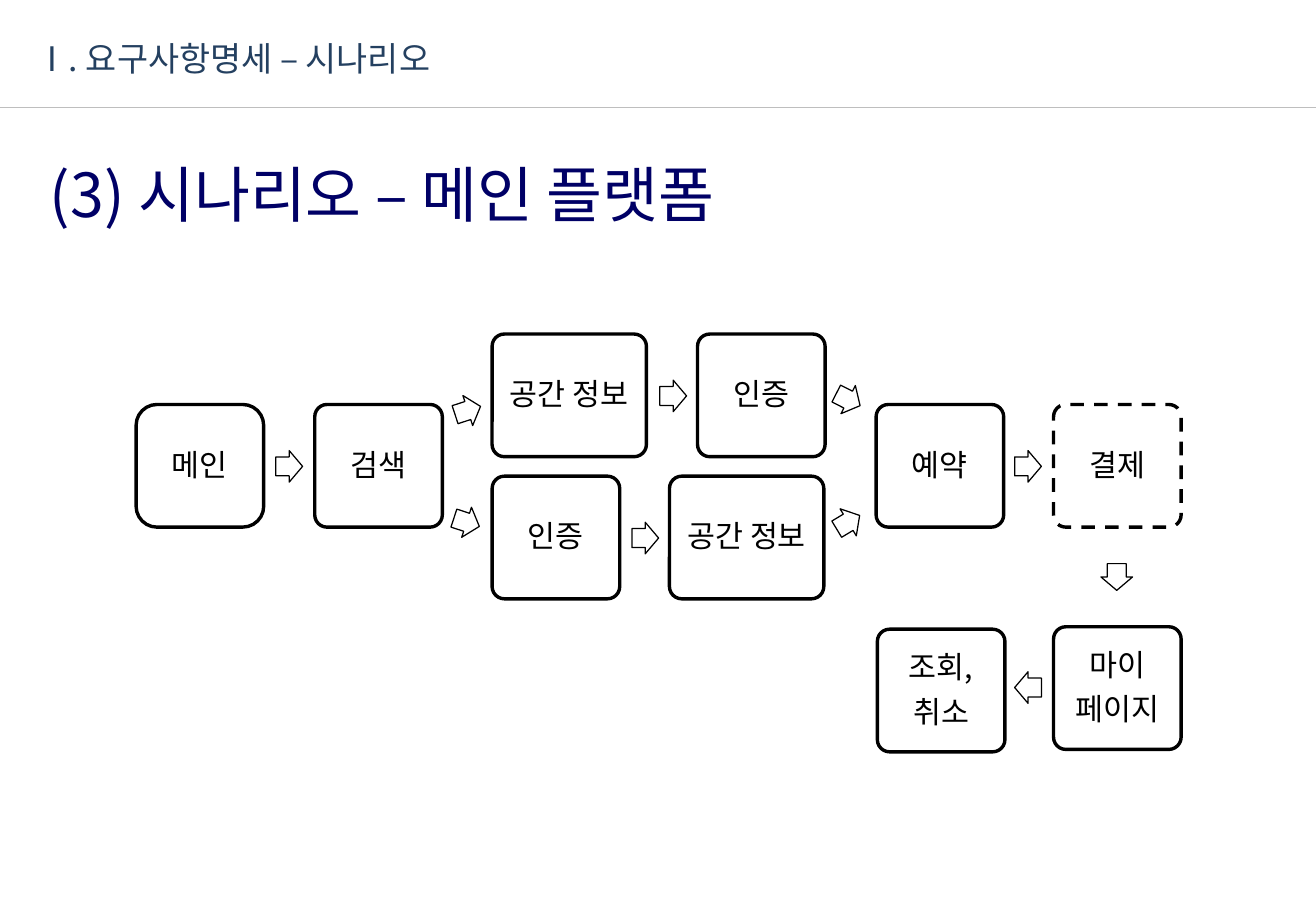
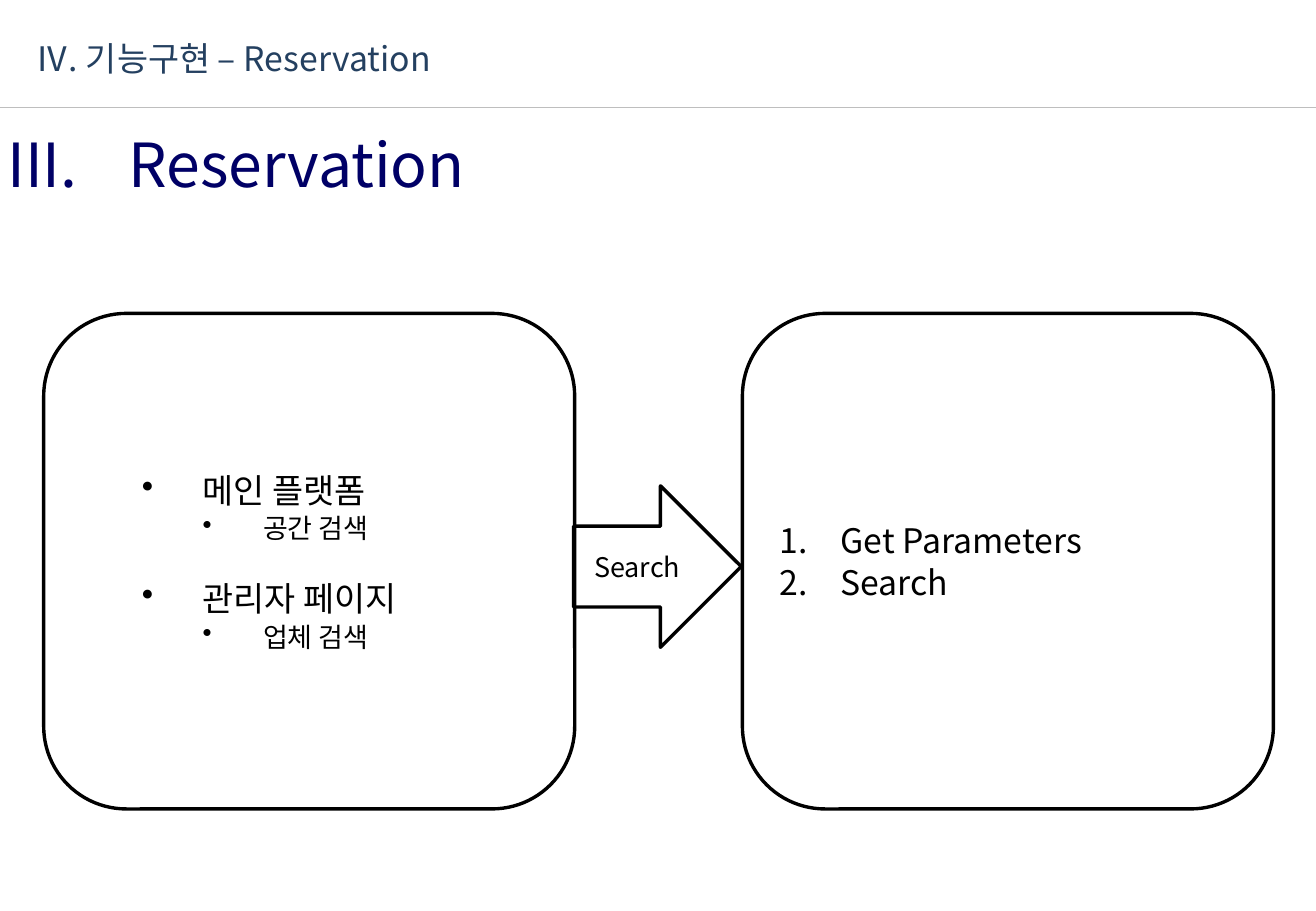
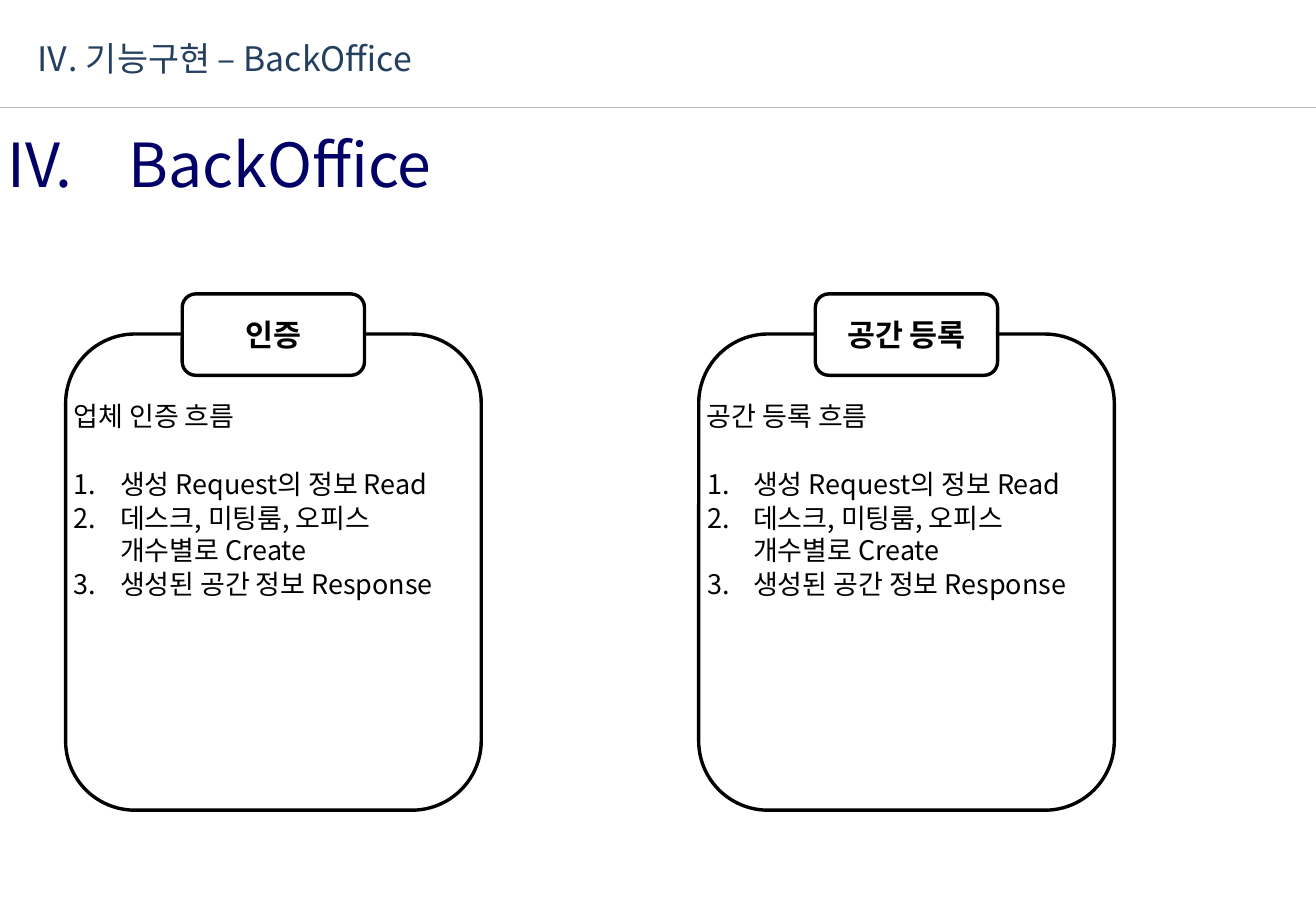
import pptx
import pptx.dml.color
import pptx.enum.dml
import pptx.enum.shapes
import pptx.enum.text
import pptx.oxml.ns
import pptx.util
from lxml import etree

SCALE = 9144
SHAPE = pptx.enum.shapes.MSO_SHAPE
ALIGN = pptx.enum.text.PP_ALIGN
ANCHOR = pptx.enum.text.MSO_ANCHOR
FONT = "Noto Sans CJK KR"


def px(length):
    """Turn hundredths of an inch into EMU."""
    return pptx.util.Emu(length * SCALE)


def color(value):
    """Turn a hex string into a colour."""
    return pptx.dml.color.RGBColor.from_string(value)


def child(parent, tag, **attributes):
    """Append a drawing element to its parent."""
    return etree.SubElement(parent, pptx.oxml.ns.qn(tag), attributes)


def write(frame, text, size=16, fill="000000", font=FONT, bold=False, align=ALIGN.LEFT,
          before=0, after=0, spacing=1.2, left=0, hang=0, bullet=None, tab=0):
    """Add one formatted paragraph to a text frame."""
    para = frame.paragraphs[0]
    if para.runs:
        para = frame.add_paragraph()
    props = para._p.get_or_add_pPr()
    if left:
        props.set("marL", str(px(left)))
        props.set("indent", str(px(-hang)))
    if bullet == "number":
        child(props, "a:buAutoNum", type="arabicPeriod")
    elif bullet:
        child(props, "a:buChar", char=bullet)
    if tab:
        child(child(props, "a:tabLst"), "a:tab", pos=str(px(tab)), algn="l")
    para.alignment = align
    para.space_before = pptx.util.Pt(before)
    para.space_after = pptx.util.Pt(after)
    para.line_spacing = pptx.util.Pt(round(size * spacing, 1))
    para.text = text
    for span in para.runs:
        span.font.size = pptx.util.Pt(size)
        span.font.bold = bold
        span.font.color.rgb = color(fill)
        span.font.name = font
        child(span._r.get_or_add_rPr(), "a:ea", typeface=FONT)


class Design:
    """Hold the shared style and the current slide."""

    INK = "000000"
    PAPER = "FFFFFF"
    HEADER = "244060"
    TITLE = "000066"
    RULE = "BEBEBE"

    def __init__(self):
        """Start an empty deck."""
        self.deck = pptx.Presentation()
        self.deck.slide_width = px(1083)
        self.deck.slide_height = px(750)
        self.page = None

    def add_page(self, header, title, left=5, top=100):
        """Add a slide with its rule, header and title."""
        self.page = self.deck.slides.add_slide(self.deck.slide_layouts[6])
        self.rule(88)
        write(self.text(28, 28, 547, 35, (0, 3)), header, size=20, fill=self.HEADER, left=1)
        write(self.text(left, top, 808, 62, (0, 4)), title, size=36, fill=self.TITLE,
              left=1, tab=84)

    def rule(self, top):
        """Draw a thin line across the slide."""
        line = self.page.shapes.add_connector(
            pptx.enum.shapes.MSO_CONNECTOR.STRAIGHT, 0, px(top), px(1083), px(top))
        line.line.color.rgb = color(self.RULE)
        line.line.width = pptx.util.Pt(0.25)
        child(line._element.spPr, "a:effectLst")

    def text(self, left, top, width, height, inset=(10, 7)):
        """Add a text box and return its frame."""
        box = self.page.shapes.add_textbox(px(left), px(top), px(width), px(height))
        frame = box.text_frame
        frame.word_wrap = True
        frame.margin_left = frame.margin_right = px(inset[0])
        frame.margin_top = px(inset[1])
        frame.margin_bottom = 0
        return frame

    def shape(self, kind, left, top, width, height, weight=2, filled=True,
              adjust=(), rotation=0, dashed=False):
        """Add an outlined shape and return its frame."""
        shape = self.page.shapes.add_shape(kind, px(left), px(top), px(width), px(height))
        shape.shadow.inherit = False
        if filled:
            shape.fill.solid()
            shape.fill.fore_color.rgb = color(self.PAPER)
        else:
            shape.fill.background()
        shape.line.color.rgb = color(self.INK)
        shape.line.width = pptx.util.Pt(weight)
        if dashed:
            shape.line.dash_style = pptx.enum.dml.MSO_LINE.DASH
        for index, value in enumerate(adjust):
            shape.adjustments[index] = value
        shape.rotation = rotation
        shape.text_frame.word_wrap = True
        shape.text_frame.vertical_anchor = ANCHOR.MIDDLE
        return shape.text_frame

    def step(self, lines, left, top, width=105, radius=0.1, dashed=False):
        """Draw one box of the flow."""
        frame = self.shape(SHAPE.ROUNDED_RECTANGLE, left, top, width, 101,
                           adjust=(radius,), dashed=dashed)
        frame.margin_left = frame.margin_right = px(10)
        frame.margin_top = frame.margin_bottom = px(10)
        for line in lines.split("|"):
            write(frame, line, size=18, align=ALIGN.CENTER, after=7, spacing=1.08)

    def arrow(self, left, top, rotation=0):
        """Draw one small arrow of the flow."""
        self.shape(SHAPE.RIGHT_ARROW, left, top, 22, 26, weight=0.75,
                   adjust=(0.6, 0.5), rotation=rotation)

    def card(self, left, tag, heading, items):
        """Draw a panel with a tag, a heading and numbered items."""
        self.shape(SHAPE.ROUNDED_RECTANGLE, left, 275, 342, 392, filled=False)
        label = self.shape(SHAPE.ROUNDED_RECTANGLE, left + 96, 242, 150, 67)
        write(label, tag, size=18, font="Calibri", bold=True, align=ALIGN.CENTER)
        frame = self.text(left - 54, 322, 562, 177)
        write(frame, heading, left=51)
        for index, item in enumerate(items):
            write(frame, item, left=89, hang=38, bullet="number", before=1 if index else 21)


def scenario(design):
    """Build the scenario flow."""
    design.add_page("Ⅰ. 요구사항명세 – 시나리오", "(3) 시나리오 – 메인 플랫폼", left=40, top=125)
    upper, middle, lower, wide = 275, 333, 392, 127
    design.step("메인", 112, middle, radius=0.17)
    design.step("검색", 259, middle)
    design.step("공간 정보", 405, upper, wide)
    design.step("인증", 574, upper)
    design.step("인증", 405, lower)
    design.step("공간 정보", 551, lower, wide)
    design.step("예약", 721, middle)
    design.step("결제", 867, middle, dashed=True)
    design.step("마이|페이지", 867, 516)
    design.step("조회,|취소", 722, 518)
    for left, row in ((227, middle), (543, upper), (520, lower), (835, middle)):
        design.arrow(left, row + 38)
    for left, top, rotation in ((374, 325, 342), (373, 417, 18), (687, 316, 27),
                                (687, 417, 329), (908, 462, 90), (835, 553, 180)):
        design.arrow(left, top, rotation)


def reservation(design):
    """Build the reservation slide."""
    design.add_page("Ⅳ. 기능구현 – Reservation", "III.\tReservation")
    sources, actions = [design.shape(SHAPE.ROUNDED_RECTANGLE, left, 258, 437, 408, filled=False)
                        for left in (36, 611)]
    for index, (place, search) in enumerate((("메인 플랫폼", "공간 검색"),
                                             ("관리자 페이지", "업체 검색"))):
        write(sources, place, size=20, left=101, hang=50, bullet="•", before=20 * index)
        write(sources, search, left=151, hang=50, bullet="•", before=1)
    for index, action in enumerate(("Get Parameters", "Search")):
        write(actions, action, size=20, left=51, hang=50, bullet="number", before=index)
    link = design.shape(SHAPE.RIGHT_ARROW, 472, 400, 138, 133, filled=False)
    write(link, "Search", align=ALIGN.CENTER)


def back_office(design):
    """Build the back office slide."""
    design.add_page("Ⅳ. 기능구현 – BackOffice", "IV.\tBackOffice")
    items = ("생성 Request의 정보 Read", "데스크, 미팅룸, 오피스\n개수별로 Create",
             "생성된 공간 정보 Response")
    design.card(575, "공간 등록", "공간 등록 흐름", items)
    design.card(54, "인증", "업체 인증 흐름", items)


def main():
    """Build and save the deck."""
    design = Design()
    scenario(design)
    reservation(design)
    back_office(design)
    design.deck.save("out.pptx")


if __name__ == "__main__":
    main()
